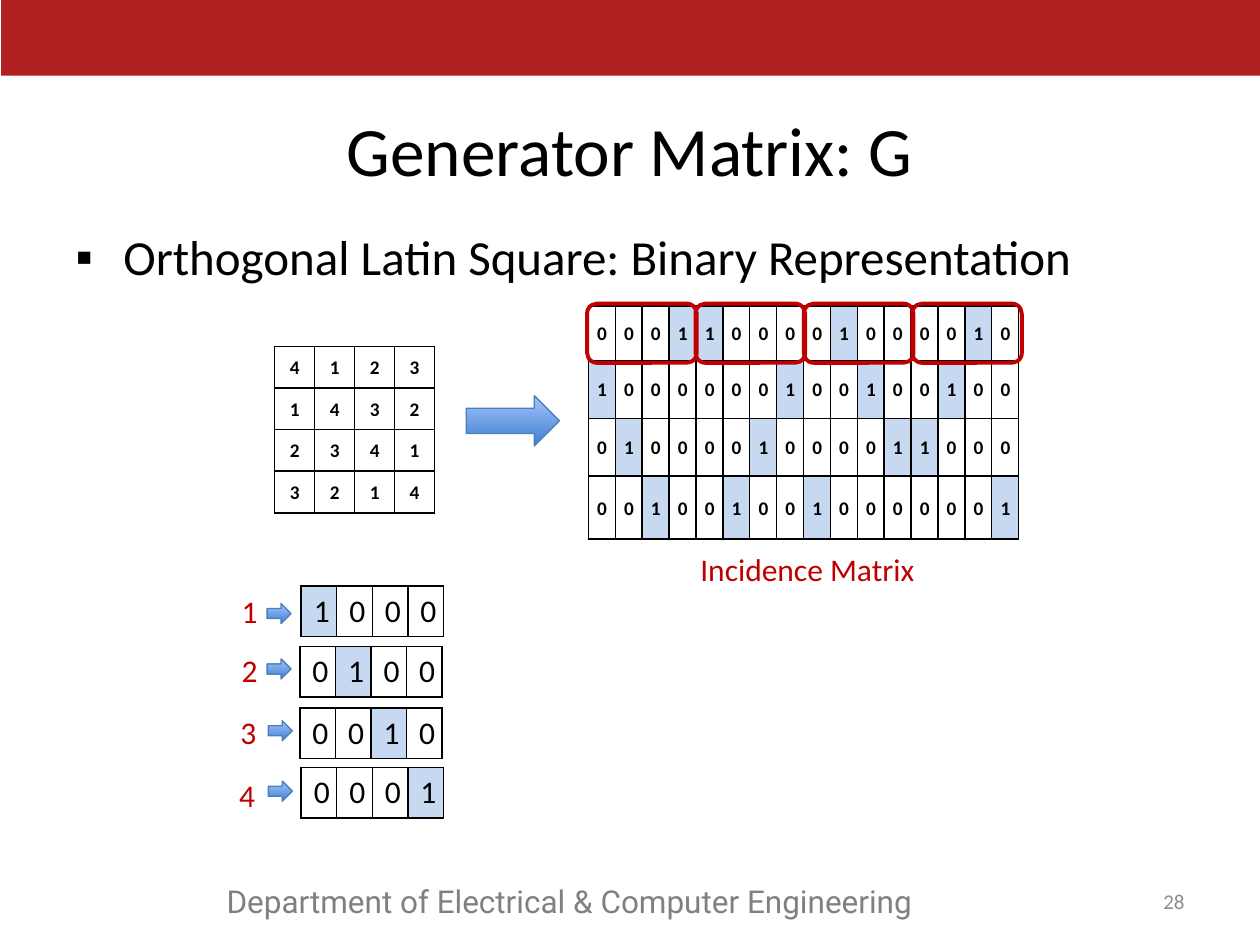
import pptx
import pptx.dml.color
import pptx.enum.shapes
import pptx.enum.text
import pptx.oxml
import pptx.oxml.ns
import pptx.util
from pptx.util import Inches

COLORS = {
    "black": "000000", "red": "C00000", "header": "B12020",
    "footer": "808080", "number": "8C8C8C", "mark": "C6D9F1",
    "arrow_dark": "3F80CE", "arrow_light": "A4C4FF", "arrow_line": "4B7EBC",
}
ALIGN = pptx.enum.text.PP_ALIGN
MIDDLE = pptx.enum.text.MSO_ANCHOR.MIDDLE
SHAPES = pptx.enum.shapes.MSO_SHAPE

LATIN_SQUARE = [[4, 1, 2, 3], [1, 4, 3, 2], [2, 3, 4, 1], [3, 2, 1, 4]]


def color(name):
    return pptx.dml.color.RGBColor.from_string(COLORS[name])


def one_hot(symbol):
    """Four bits with a 1 at the place of the symbol."""
    return [int(place == symbol) for place in range(1, 5)]


class SlideBuilder:
    font = "Calibri"

    def __init__(self, page):
        self.page = page

    def set_text(self, frame, text, size, tint="black", align=ALIGN.LEFT, bold=False, font=None):
        frame.text = text
        para = frame.paragraphs[0]
        para.alignment = align
        for span in para.runs:
            span.font.size = pptx.util.Pt(size)
            span.font.name = font or self.font
            span.font.bold = bold
            span.font.color.rgb = color(tint)
        return para

    def place(self, holder, left, top, width, height):
        holder.left, holder.top = Inches(left), Inches(top)
        holder.width, holder.height = Inches(width), Inches(height)
        holder.text_frame.auto_size = pptx.enum.text.MSO_AUTO_SIZE.NONE

    def title(self, text, *bounds):
        holder = self.page.shapes.title
        self.place(holder, *bounds)
        holder.text_frame.vertical_anchor = MIDDLE
        self.set_text(holder.text_frame, text, 39.6, align=ALIGN.CENTER)

    def bullet(self, text, *bounds):
        holder = self.page.placeholders[1]
        self.place(holder, *bounds)
        para = self.set_text(holder.text_frame, text, 28)
        para.space_before = pptx.util.Pt(0)
        props = para._p.get_or_add_pPr()
        props.set("marL", str(Inches(0.38)))
        props.set("indent", str(Inches(-0.38)))
        mark = pptx.oxml.parse_xml(f'<a:buChar {pptx.oxml.ns.nsdecls("a")} char="▪"/>')
        props.append(mark)

    def label(self, text, left, top, width, height, size=18, tint="red", anchor=None, **style):
        box = self.page.shapes.add_textbox(Inches(left), Inches(top), Inches(width), Inches(height))
        box.text_frame.word_wrap = True
        if anchor is not None:
            box.text_frame.vertical_anchor = anchor
        self.set_text(box.text_frame, text, size, tint, **style)

    def shape(self, kind, left, top, width, height):
        item = self.page.shapes.add_shape(
            kind, Inches(left), Inches(top), Inches(width), Inches(height))
        item.shadow.inherit = False
        return item

    def header(self, *bounds):
        bar = self.shape(SHAPES.RECTANGLE, *bounds)
        bar.fill.solid()
        bar.fill.fore_color.rgb = color("header")
        bar.line.fill.background()

    def arrow(self, *bounds):
        arrow = self.shape(SHAPES.RIGHT_ARROW, *bounds)
        arrow.fill.gradient()
        arrow.fill.gradient_angle = 90
        for stop, tint, position in zip(
                arrow.fill.gradient_stops, ("arrow_dark", "arrow_light"), (0, 1)):
            stop.color.rgb = color(tint)
            stop.position = position
        arrow.line.color.rgb = color("arrow_line")
        arrow.line.width = pptx.util.Pt(0.75)

    def frame(self, *bounds):
        frame = self.shape(SHAPES.ROUNDED_RECTANGLE, *bounds)
        frame.fill.background()
        frame.line.color.rgb = color("red")
        frame.line.width = pptx.util.Pt(2.25)

    def border(self, cell):
        props = cell._tc.get_or_add_tcPr()
        for place, side in enumerate(("lnL", "lnR", "lnT", "lnB")):
            props.insert(place, pptx.oxml.parse_xml(
                f'<a:{side} {pptx.oxml.ns.nsdecls("a")} w="12700"><a:solidFill>'
                f'<a:srgbClr val="{COLORS["black"]}"/></a:solidFill></a:{side}>'))

    def matrix(self, values, left, top, width, heights, compact=True, mark_ones=True):
        """Bordered grid; compact cells hold small bold centred digits."""
        columns = len(values[0])
        table = self.page.shapes.add_table(
            len(values), columns, Inches(left), Inches(top),
            Inches(width), Inches(sum(heights))).table
        table.first_row = table.horz_banding = False
        for column in table.columns:
            column.width = int(Inches(width) / columns)
        for row, height in zip(table.rows, heights):
            row.height = Inches(height)
        digits = [digit for row in values for digit in row]
        for cell, digit in zip(table.iter_cells(), digits):
            if mark_ones and digit == 1:
                cell.fill.solid()
                cell.fill.fore_color.rgb = color("mark")
            else:
                cell.fill.background()
            self.border(cell)
            if compact:
                cell.margin_left = cell.margin_right = Inches(0.07)
                cell.margin_top = cell.margin_bottom = 0
                cell.vertical_anchor = MIDDLE
                para = self.set_text(cell.text_frame, str(digit), 11,
                                     align=ALIGN.CENTER, bold=True)
                para.line_spacing = 1.07
            else:
                self.set_text(cell.text_frame, str(digit), 18)


def main():
    deck = pptx.Presentation()
    deck.slide_width, deck.slide_height = Inches(10), Inches(7.5)
    slide = SlideBuilder(deck.slides.add_slide(deck.slide_layouts[1]))

    slide.header(0.01, 0, 10, 0.6)
    slide.label("Department of Electrical & Computer Engineering",
                1.7, 6.95, 5.77, 0.4, tint="footer", font="Roboto")
    slide.bullet("Orthogonal Latin Square: Binary Representation", 0.5, 1.75, 9, 4.95)
    slide.label("28", 8.91, 6.95, 0.59, 0.4, size=12, tint="number",
                anchor=MIDDLE, align=ALIGN.RIGHT)
    slide.title("Generator Matrix: G", 0.5, 0.81, 9, 0.74)

    slide.matrix(LATIN_SQUARE, 2.18, 2.75, 1.27, [0.33] * 4, mark_ones=False)
    incidence = [[bit for symbol in row for bit in one_hot(symbol)] for row in LATIN_SQUARE]
    slide.matrix(incidence, 4.67, 2.43, 3.42, [0.43, 0.46, 0.46, 0.5])
    slide.arrow(3.7, 3.14, 0.74, 0.4)
    for group in range(4):
        slide.frame(4.66 + 0.86 * group, 2.41, 0.87, 0.47)
    slide.label("Incidence Matrix", 5.46, 4.32, 2.22, 0.4)

    # Left and top of each code's bits, then of its symbol, then of its arrow
    codes = [
        ((2.39, 4.65), (1.82, 4.65), (2.12, 4.79)),
        ((2.38, 5.13), (1.82, 5.12), (2.12, 5.23)),
        ((2.38, 5.62), (1.81, 5.61), (2.13, 5.72)),
        ((2.39, 6.09), (1.8, 6.11), (2.13, 6.2)),
    ]
    for symbol, (bits_at, symbol_at, arrow_at) in enumerate(codes, start=1):
        slide.matrix([one_hot(symbol)], *bits_at, 1.13, [0.4], compact=False)
        slide.label(str(symbol), *symbol_at, 0.41, 0.4)
        slide.arrow(*arrow_at, 0.19, 0.16)

    deck.save("out.pptx")


if __name__ == "__main__":
    main()
